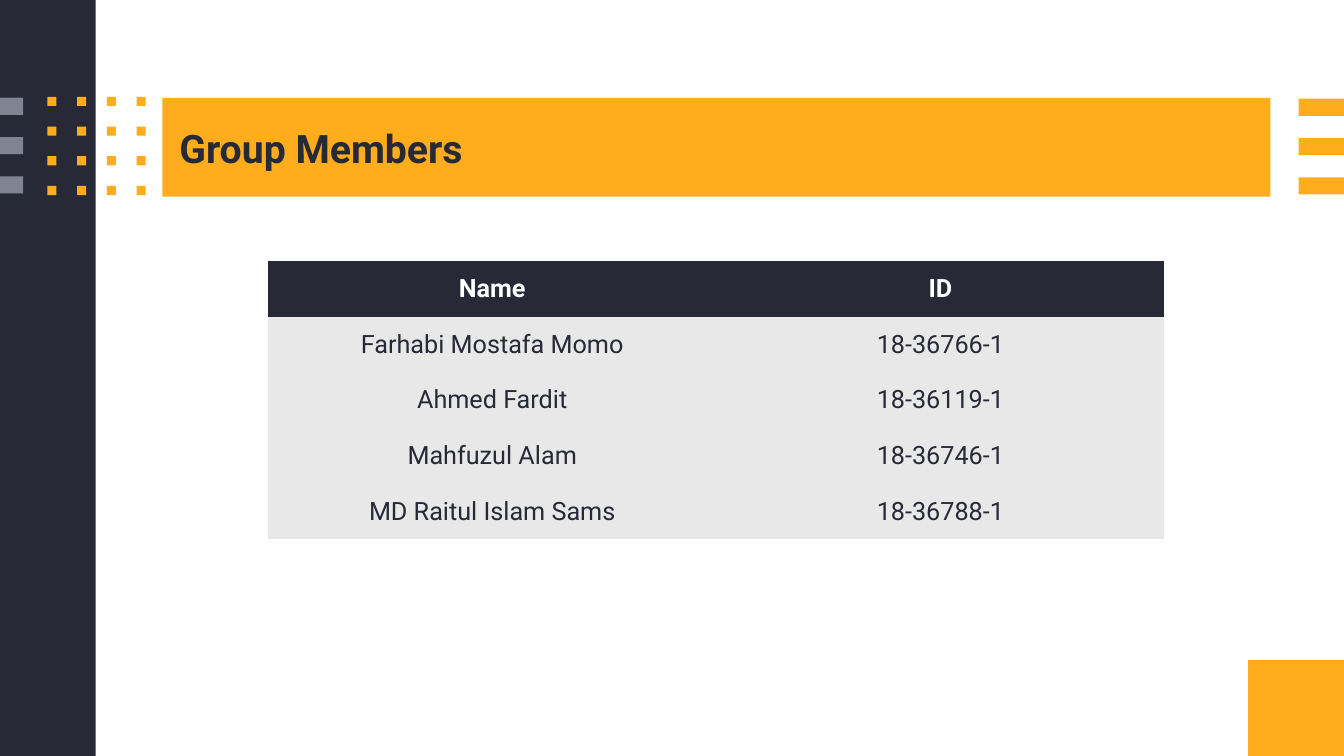
from pptx import Presentation
from pptx import util as u
from pptx.dml.color import RGBColor
from pptx.enum import shapes, text
from pptx.oxml.ns import qn

NAVY, ORANGE, GREY, PALE, WHITE = "272A36", "FFAD1D", "808392", "E8E8E8", "FFFFFF"
NO_STYLE_NO_GRID = "{2D5ABB26-0587-4C30-8999-92F81FD0307C}"

presentation = Presentation()
presentation.slide_width = u.Inches(13.33)
presentation.slide_height = u.Inches(7.5)
slide = presentation.slides.add_slide(presentation.slide_layouts[5])


def add_block(left, top, width, height, color):
    shape = slide.shapes.add_shape(
        shapes.MSO_SHAPE.RECTANGLE, *map(u.Inches, (left, top, width, height)))
    shape.shadow.inherit = False
    shape.fill.solid()
    shape.fill.fore_color.rgb = RGBColor.from_string(color)
    shape.line.fill.background()


def style_text(paragraph, size, color, bold, alignment):
    paragraph.alignment = alignment
    paragraph.font.name = "Roboto"
    paragraph.font.size = u.Pt(size)
    paragraph.font.bold = bold
    paragraph.font.color.rgb = RGBColor.from_string(color)


# Corner square and left band
add_block(12.38, 6.55, 0.95, 0.95, ORANGE)
add_block(0, 0, 0.95, 7.5, NAVY)

# Stripes at both edges
for left, top, width, color in ((0, 0.97, 0.23, GREY), (12.88, 0.98, 0.45, ORANGE)):
    for row in range(3):
        add_block(left, top + row * 0.39, width, 0.17, color)

# Dot grid
for row in range(4):
    for column in range(4):
        add_block(0.47 + column * 0.295, 0.96 + row * 0.295, 0.09, 0.09, ORANGE)

# Title on its bar; the placeholder moves to the front
add_block(1.61, 0.97, 10.99, 0.98, ORANGE)
title = slide.shapes.title
title.element.getparent().append(title.element)
title.left, title.top = u.Inches(1.68), u.Inches(1.18)
title.width, title.height = u.Inches(10.92), u.Inches(0.57)
title.text = "Group Members"
title.text_frame.auto_size = text.MSO_AUTO_SIZE.SHAPE_TO_FIT_TEXT
title.text_frame.vertical_anchor = text.MSO_ANCHOR.MIDDLE
style_text(title.text_frame.paragraphs[0], 28, NAVY, True, text.PP_ALIGN.LEFT)

# Member table
members = [
    ("Name", "ID"),
    ("Farhabi Mostafa Momo", "18-36766-1"),
    ("Ahmed Fardit", "18-36119-1"),
    ("Mahfuzul Alam", "18-36746-1"),
    ("MD Raitul Islam Sams", "18-36788-1"),
]
frame = slide.shapes.add_table(len(members), 2, u.Inches(2.66), u.Inches(2.59),
                               u.Inches(8.89), u.Inches(2.76))
next(frame.element.iter(qn("a:tableStyleId"))).text = NO_STYLE_NO_GRID
table = frame.table
table.horz_banding = False
for row, member in enumerate(members):
    header = row == 0
    for column, value in enumerate(member):
        cell = table.cell(row, column)
        cell.text = value
        cell.vertical_anchor = text.MSO_ANCHOR.MIDDLE
        cell.fill.solid()
        cell.fill.fore_color.rgb = RGBColor.from_string(NAVY if header else PALE)
        style_text(cell.text_frame.paragraphs[0], 18, WHITE if header else NAVY,
                   header, text.PP_ALIGN.CENTER)

presentation.save("out.pptx")
